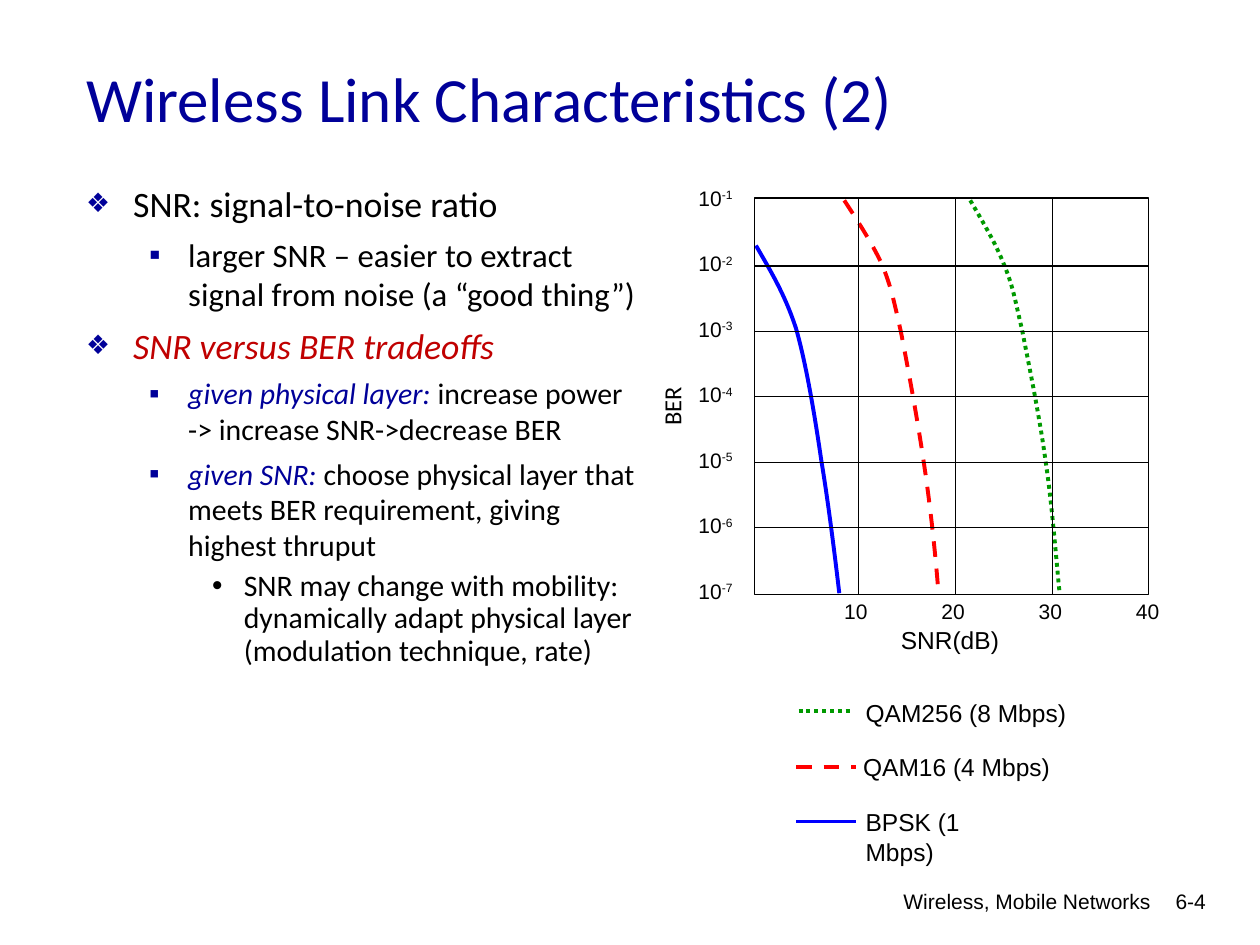
from lxml.etree import SubElement
from pptx import Presentation
from pptx.dml.color import RGBColor
from pptx.enum.dml import MSO_LINE
from pptx.enum.shapes import MSO_CONNECTOR, MSO_SHAPE
from pptx.enum.text import MSO_ANCHOR, MSO_AUTO_SIZE, PP_ALIGN
from pptx.oxml.ns import qn
from pptx.util import Cm, Pt

BLACK, NAVY, CRIMSON = "000000", "000099", "C00000"
BLUE, RED, GREEN = "0000FF", "FF0000", "009900"
PLOT_LEFT, PLOT_TOP, PLOT_WIDTH, PLOT_HEIGHT = 15.21, 3.99, 7.95, 8.0
DECADES = 6
FIRST_ROW, ROW_STEP = 5.36, 1.32
FIRST_COLUMN, COLUMN_STEP = 17.3, 1.96

BULLETS = [
    dict(char="❖", color=NAVY, left=0.95, hang=0.95, percent=75),
    dict(char="▪", color=NAVY, left=2.06, hang=0.79, percent=100),
    dict(char="•", color=BLACK, left=3.18, hang=0.64, percent=100),
]

OUTLINE = [
    (0, 20.4, 6, [("SNR: signal-to-noise ratio", BLACK, False)]),
    (1, 18.7, 5.5, [("larger SNR – easier to extract signal from noise (a “good thing”)", BLACK, False)]),
    (0, 20.4, 6, [("SNR versus BER tradeoffs", CRIMSON, True)]),
    (1, 17, 5, [("given physical layer:", NAVY, True),
                (" increase power -> increase SNR->decrease BER", BLACK, False)]),
    (1, 17, 5, [("given SNR:", NAVY, True),
                (" choose physical layer that meets BER requirement, giving highest thruput", BLACK, False)]),
    (2, 17, 5, [("SNR may change with mobility: dynamically adapt physical layer "
                 "(modulation technique, rate)", BLACK, False)]),
]

CURVES = [
    (BLUE, None,
     [(15.24, 4.95), (15.52, 5.44), (15.82, 5.92), (16.05, 6.63), (16.26, 7.37),
      (16.43, 8.41), (16.56, 9.3), (16.71, 10.19), (16.87, 11.53), (16.92, 11.96)]),
    (RED, MSO_LINE.DASH,
     [(17.02, 4.04), (17.3, 4.47), (17.58, 4.9), (17.78, 5.33), (17.96, 5.77),
      (18.01, 6.02), (18.16, 6.68), (18.29, 7.34), (18.49, 8.41), (18.62, 9.3),
      (18.75, 10.16), (18.85, 11.07), (18.92, 11.96)]),
    (GREEN, MSO_LINE.ROUND_DOT,
     [(19.56, 4.04), (19.81, 4.47), (20.07, 4.9), (20.24, 5.33), (20.42, 5.77),
      (20.45, 5.99), (20.6, 6.63), (20.73, 7.29), (20.96, 8.41), (21.08, 9.3),
      (21.21, 10.16), (21.31, 11.48), (21.36, 11.94)]),
]

LEGEND = [
    ("BPSK (1 Mbps)", BLUE, None, (16.05, 17.25), 16.56, (17.2, 16.15, 3.91)),
    ("QAM16 (4 Mbps)", RED, MSO_LINE.DASH, (16.05, 17.25), 15.47, (17.15, 15.04, 4.27)),
    ("QAM256 (8 Mbps)", GREEN, MSO_LINE.ROUND_DOT, (16.1, 17.2), 14.33, (17.2, 13.94, 4.55)),
]


def rgb(color):
    return RGBColor.from_string(color)


def place(shape, left, top, width, height):
    shape.left, shape.top = Cm(left), Cm(top)
    shape.width, shape.height = Cm(width), Cm(height)


def add_span(para, text, size=12, font="Arial", color=BLACK, italic=False, superscript=False):
    span = para.add_run()
    span.text = text
    span.font.size = Pt(size)
    span.font.name = font
    span.font.color.rgb = rgb(color)
    span.font.italic = italic
    if superscript:
        span.font._element.set("baseline", "30000")


def add_label(page, text, left, top, width, height=0.76, exponent="", align=PP_ALIGN.LEFT,
              wrap=False, rotation=0, **style):
    box = page.shapes.add_textbox(Cm(left), Cm(top), Cm(width), Cm(height))
    box.rotation = rotation
    frame = box.text_frame
    frame.word_wrap = wrap
    frame.auto_size = MSO_AUTO_SIZE.NONE if wrap else MSO_AUTO_SIZE.SHAPE_TO_FIT_TEXT
    para = frame.paragraphs[0]
    para.alignment = align
    add_span(para, text, **style)
    if exponent:
        add_span(para, exponent, superscript=True, **style)


def style_line(line, color, width, dash=None):
    line.color.rgb = rgb(color)
    line.width = Pt(width)
    if dash is not None:
        line.dash_style = dash


def add_line(page, start, end, color=BLACK, width=0.75, dash=None):
    line = page.shapes.add_connector(MSO_CONNECTOR.STRAIGHT, *map(Cm, start + end))
    style_line(line.line, color, width, dash)
    SubElement(line._element.spPr, qn("a:effectLst"))
    return line


def add_curve(page, color, dash, knots):
    points = [(Cm(x), Cm(y)) for x, y in knots]
    builder = page.shapes.build_freeform(*points[0])
    builder.add_line_segments(points[1:], close=False)
    curve = builder.convert_to_shape()
    curve.shadow.inherit = False
    curve.fill.background()
    style_line(curve.line, color, 2.25, dash)
    outline = next(curve._element.iter(qn("a:path")))
    segments = outline.findall(qn("a:lnTo"))
    for first in range(0, len(segments), 3):
        cubic = SubElement(outline, qn("a:cubicBezTo"))
        for segment in segments[first:first + 3]:
            cubic.append(segment[0])
            outline.remove(segment)


def set_bullet(para, char, color, left, hang, percent):
    properties = para._p.get_or_add_pPr()
    properties.set("marL", str(Cm(left)))
    properties.set("indent", str(-Cm(hang)))
    SubElement(SubElement(properties, qn("a:buClr")), qn("a:srgbClr")).set("val", color)
    SubElement(properties, qn("a:buSzPct")).set("val", str(percent * 1000))
    SubElement(properties, qn("a:buFont")).set("typeface", "Arial")
    SubElement(properties, qn("a:buChar")).set("char", char)


def fill_title(page):
    title = page.shapes.title
    place(title, 1.48, 0.38, 21.59, 3.18)
    frame = title.text_frame
    frame.vertical_anchor = MSO_ANCHOR.MIDDLE
    frame.auto_size = MSO_AUTO_SIZE.NONE
    para = frame.paragraphs[0]
    para.alignment = PP_ALIGN.LEFT
    add_span(para, "Wireless Link Characteristics (2)", size=36, font="Calibri", color=NAVY)


def fill_outline(page):
    body = page.placeholders[1]
    place(body, 1.48, 3.54, 11.89, 14.43)
    frame = body.text_frame
    frame.auto_size = MSO_AUTO_SIZE.NONE
    for index, (level, size, before, spans) in enumerate(OUTLINE):
        para = frame.add_paragraph() if index else frame.paragraphs[0]
        para.level = level
        set_bullet(para, **BULLETS[level])
        para.space_before = Pt(before if index else 0)
        para.line_spacing = 0.9 if level == 2 else 1.0
        for text, color, italic in spans:
            add_span(para, text, size=size, font="Calibri", color=color, italic=italic)


def draw_plot(page):
    for color, dash, knots in CURVES:
        add_curve(page, color, dash, knots)
    frame = page.shapes.add_shape(MSO_SHAPE.RECTANGLE, Cm(PLOT_LEFT), Cm(PLOT_TOP),
                                  Cm(PLOT_WIDTH), Cm(PLOT_HEIGHT))
    frame.shadow.inherit = False
    frame.fill.background()
    style_line(frame.line, BLACK, 0.75)
    right, bottom = PLOT_LEFT + PLOT_WIDTH, PLOT_TOP + PLOT_HEIGHT
    for row in range(DECADES - 1):
        y = FIRST_ROW + row * ROW_STEP
        line = add_line(page, (PLOT_LEFT, y), (right, y))
        if row == DECADES // 2 - 1:
            line.begin_connect(frame, 1)
            line.end_connect(frame, 3)
    for column in range(3):
        x = FIRST_COLUMN + column * COLUMN_STEP
        add_line(page, (x, PLOT_TOP), (x, bottom))


def label_axes(page):
    for decade in range(DECADES + 1):
        add_label(page, "10", 13.83, 3.61 + decade * ROW_STEP, 1.19, exponent=f"-{decade + 1}")
    for column in range(4):
        add_label(page, str(10 * (column + 1)), 16.77 + column * COLUMN_STEP, 11.94, 0.97)
    add_label(page, "SNR(dB)", 17.91, 12.47, 2.49, 0.86, size=14)
    add_label(page, "BER", 12.85, 7.7, 1.4, 0.86, rotation=270, size=14, font="Calibri")


def draw_legend(page):
    for name, color, dash, (start, end), y, (left, top, width) in LEGEND:
        add_line(page, (start, y), (end, y), color, 2.25, dash)
        add_label(page, name, left, top, width, 0.86, size=14)


def main():
    deck = Presentation()
    deck.slide_width, deck.slide_height = Cm(25.4), Cm(19.05)
    page = deck.slides.add_slide(deck.slide_layouts[1])
    add_label(page, "Wireless, Mobile Networks", 12.73, 17.78, 10.72, 0.89,
              align=PP_ALIGN.RIGHT, wrap=True)
    add_label(page, "6-4", 22.68, 17.78, 1.88, 1.27, align=PP_ALIGN.RIGHT, wrap=True)
    fill_title(page)
    fill_outline(page)
    draw_plot(page)
    label_axes(page)
    draw_legend(page)
    deck.save("out.pptx")


if __name__ == "__main__":
    main()
